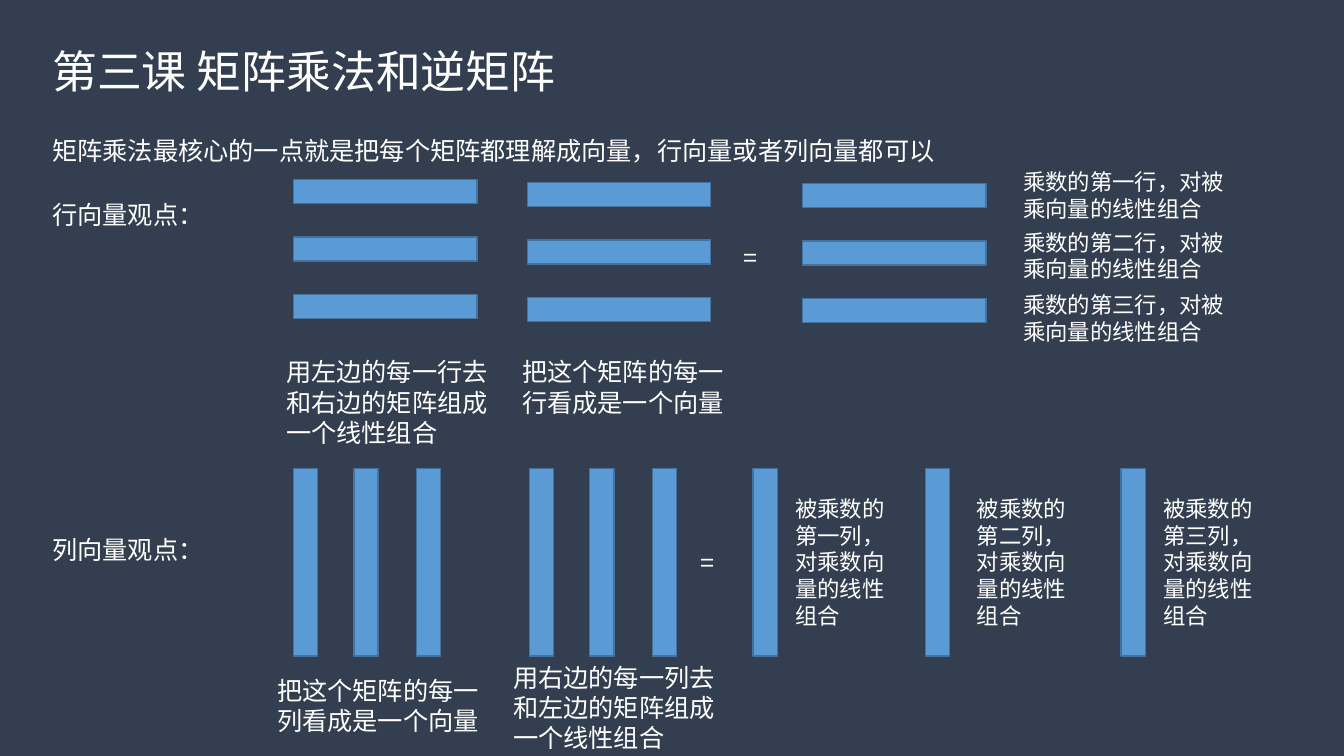
from lxml import etree
from pptx import Presentation, util as u
from pptx.dml.color import RGBColor
from pptx.enum import shapes, text
from pptx.oxml import ns

COLORS = {"background": "333F50", "bar": "5B9BD5", "edge": "43739E", "words": "FFFFFF"}
FONT = "Noto Sans CJK SC"
WIDTH, HEIGHT = 13.33, 7.5
MARGIN = 0.42
BAR_THICK, ROW_LONG, COLUMN_LONG = 0.24, 1.82, 1.86
ROW_PITCH, COLUMN_TOP = 0.57, 4.65
CAPTION_WIDTH = 2.34

HEADINGS = [
    ("第三课 矩阵乘法和逆矩阵", MARGIN, 0.38, 12.15, 0.64, 32),
    ("矩阵乘法最核心的一点就是把每个矩阵都理解成向量，行向量或者列向量都可以", MARGIN, 1.29, 9.5, 0.4, 18),
    ("行向量观点：", MARGIN, 1.93, 8.95, 0.4, 18),
    ("列向量观点：", MARGIN, 5.25, 1.75, 0.4, 18),
]
CAPTIONS = [
    ("用左边的每一行去和右边的矩阵组成一个线性组合", 2.74, 3.49, 3),
    ("把这个矩阵的每一行看成是一个向量", 5.08, 3.49, 2),
    ("把这个矩阵的每一列看成是一个向量", 2.65, 6.65, 2),
    ("用右边的每一列去和左边的矩阵组成一个线性组合", 4.99, 6.52, 3),
]
EQUALS = [(7.28, 2.35), (6.85, 5.38)]
ROW_MATRICES = [(2.91, 1.78), (5.23, 1.81), (7.96, 1.82)]
COLUMN_MATRICES = [(2.91, 3.51, 4.13), (5.25, 5.85, 6.47), (7.47, 9.18, 11.12)]
ORDINALS = "一二三"
ROW_NOTE_TOPS = (1.62, 2.22, 2.84)
COLUMN_NOTE_LEFTS = (7.79, 9.59, 11.44)


def color(part):
    return RGBColor.from_string(COLORS[part])


def inches(*lengths):
    return [u.Inches(length) for length in lengths]


def add_words(slide, words, left, top, width, height, size):
    frame = slide.shapes.add_textbox(*inches(left, top, width, height)).text_frame
    frame.word_wrap = True
    frame.auto_size = text.MSO_AUTO_SIZE.SHAPE_TO_FIT_TEXT
    run = frame.paragraphs[0].add_run()
    run.text = words
    run.font.size = u.Pt(size)
    run.font.color.rgb = color("words")
    run.font.name = FONT
    etree.SubElement(run.font._element, ns.qn("a:ea"), typeface=FONT)


def add_bar(slide, left, top, width, height):
    bar = slide.shapes.add_shape(shapes.MSO_SHAPE.RECTANGLE, *inches(left, top, width, height))
    bar.shadow.inherit = False
    bar.fill.solid()
    bar.fill.fore_color.rgb = color("bar")
    bar.line.color.rgb = color("edge")
    bar.line.width = u.Pt(1)


def main():
    deck = Presentation()
    deck.slide_width, deck.slide_height = inches(WIDTH, HEIGHT)
    slide = deck.slides.add_slide(deck.slide_layouts[6])
    slide.background.fill.solid()
    slide.background.fill.fore_color.rgb = color("background")

    for heading in HEADINGS:
        add_words(slide, *heading)
    for left, top in ROW_MATRICES:
        for row in range(3):
            add_bar(slide, left, top + row * ROW_PITCH, ROW_LONG, BAR_THICK)
    for lefts in COLUMN_MATRICES:
        for left in lefts:
            add_bar(slide, left, COLUMN_TOP, BAR_THICK, COLUMN_LONG)
    for left, top in EQUALS:
        add_words(slide, "=", left, top, 0.77, 0.4, 18)
    for words, left, top, lines in CAPTIONS:
        add_words(slide, words, left, top, CAPTION_WIDTH, 0.1 + 0.3 * lines, 18)
    for ordinal, top, left in zip(ORDINALS, ROW_NOTE_TOPS, COLUMN_NOTE_LEFTS):
        add_words(slide, f"乘数的第{ordinal}行，对被乘向量的线性组合", 10.05, top, CAPTION_WIDTH, 0.64, 16)
        add_words(slide, f"被乘数的第{ordinal}列，对乘数向量的线性组合", left, 4.86, 1.23, 1.45, 16)

    deck.save("out.pptx")


if __name__ == "__main__":
    main()
